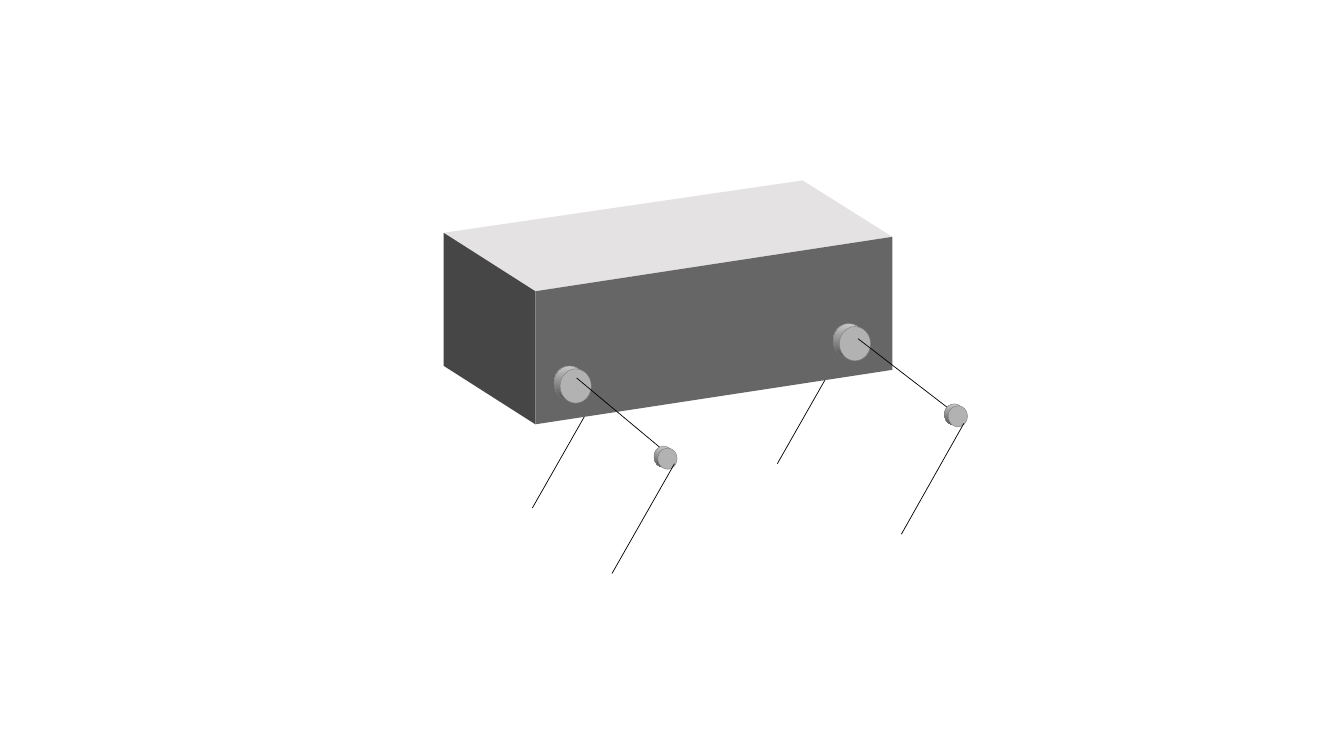
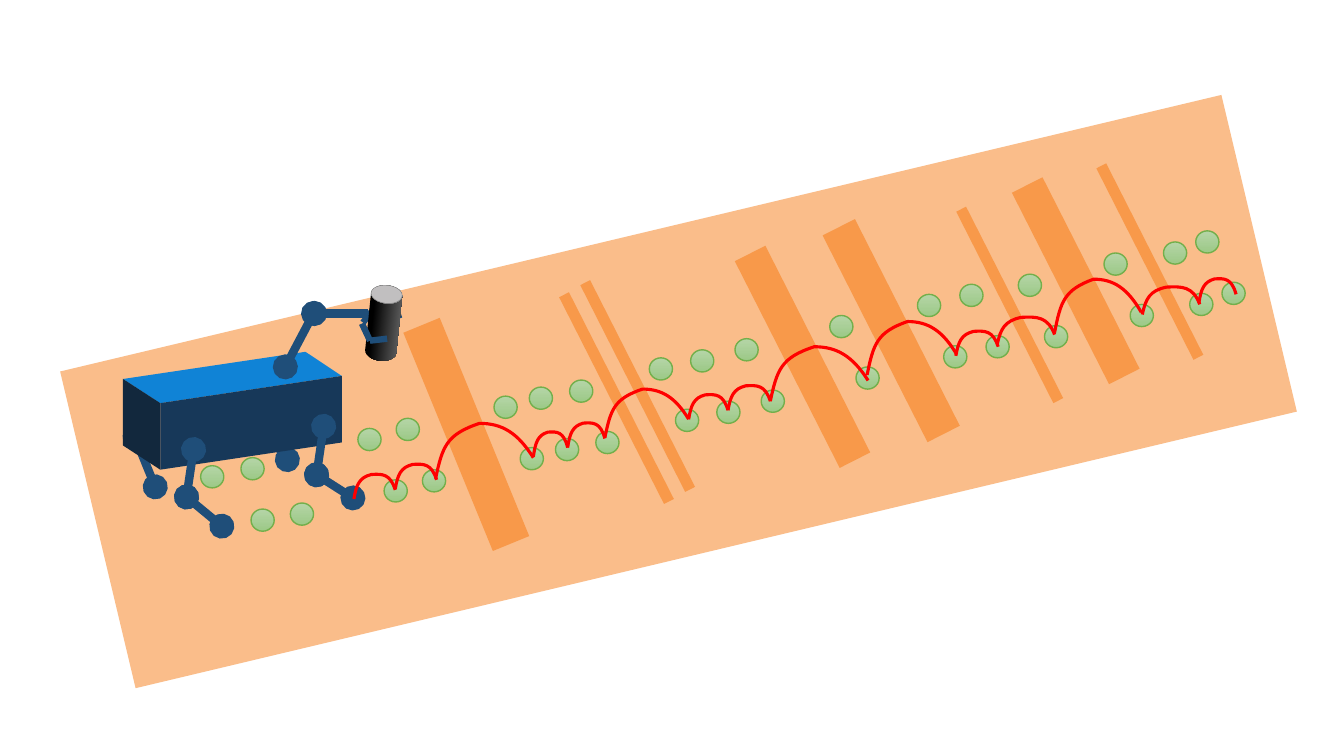
from pptx import Presentation
from pptx.dml.color import RGBColor
from pptx.enum.shapes import MSO_CONNECTOR, MSO_SHAPE
from pptx.oxml.ns import qn
from pptx.util import Inches, Pt
from lxml import etree

RECT, OVAL, CAN = MSO_SHAPE.RECTANGLE, MSO_SHAPE.OVAL, MSO_SHAPE.CAN
STRAIGHT = MSO_CONNECTOR.STRAIGHT

COLORS = {
    "black": "000000", "edge": "7A7A7A", "disc": "B2B2B2",
    "rim light": "C8C8C8", "rim dark": "505050",
    "grey top": "E4E2E3", "grey front": "666666", "grey side": "464646",
    "blue top": "1083D6", "blue front": "173859", "blue side": "12283D",
    "limb": "1F4E79", "ground": "FABD8A", "gap": "F8994A",
    "step light": "B5D5A7", "step dark": "9CC987", "step edge": "73AF4B",
    "hop": "FF0000", "can light": "707070", "lid": "C1BFC0",
}

# Hop outlines as fractions of width and height
SHORT = [(0, 1), (.06, .44), (.13, .15), (.42, .03), (.69, 0), (.88, 0), (1, .64)]
LONG = [(0, 1), (.07, .42), (.11, .2), (.45, 0), (.68, 0), (.84, .17), (1, .62)]


def rgb(name):
    return RGBColor.from_string(COLORS[name])


class Deck:
    def __init__(self):
        self.prs = Presentation()
        self.prs.slide_width = Inches(13.33)
        self.prs.slide_height = Inches(7.5)

    def slide(self):
        self.page = self.prs.slides.add_slide(self.prs.slide_layouts[6])
        self.shapes = self.page.shapes

    def group(self):
        self.shapes = self.page.shapes.add_group_shape().shapes

    def ungroup(self):
        self.shapes = self.page.shapes

    def style(self, shape, fill=None, line=None, width=1):
        """A fill is one colour name, or a pair for a gradient."""
        shape.shadow.inherit = False
        if isinstance(fill, tuple):
            shape.fill.gradient()
            for stop, name in zip(shape.fill.gradient_stops, fill):
                stop.color.rgb = rgb(name)
        elif fill:
            shape.fill.solid()
            shape.fill.fore_color.rgb = rgb(fill)
        else:
            shape.fill.background()
        if line:
            shape.line.color.rgb = rgb(line)
            shape.line.width = Pt(width)
        else:
            shape.line.fill.background()
        return shape

    def shape(self, kind, box, fill, line=None, width=1, turn=0, angle=270):
        item = self.shapes.add_shape(kind, *map(Inches, box))
        item.rotation = turn
        self.style(item, fill, line, width)
        if isinstance(fill, tuple):
            item.fill.gradient_angle = angle
        return item

    def line(self, start, end, color="black", width=0.5, ends=()):
        item = self.shapes.add_connector(STRAIGHT, *map(Inches, start + end))
        item.line.color.rgb = rgb(color)
        item.line.width = Pt(width)
        stroke = item.line._get_or_add_ln()
        for end_tag in ends:
            etree.SubElement(stroke, qn("a:" + end_tag), type="oval")
        etree.SubElement(item._element.spPr, qn("a:effectLst"))

    def outline(self, points, closed=True):
        dots = [(Inches(x), Inches(y)) for x, y in points]
        pen = self.shapes.build_freeform(*dots[0])
        pen.add_line_segments(dots[1:], close=closed)
        return pen.convert_to_shape()

    def block(self, top, height, tone):
        """Top corners run from back left, clockwise."""
        left, _, right, near = top
        self.style(self.outline(top), tone + " top")
        for a, b, side in ((left, near, " side"), (near, right, " front")):
            low = [(x, y + height) for x, y in (b, a)]
            self.style(self.outline([a, b] + low), tone + side)

    def joint(self, x, y, size):
        wide, shift = size * 0.91, size * 0.18
        for dx, dy, fill in ((shift, shift / 2, ("rim light", "rim dark")),
                             (0, 0, "disc")):
            self.shape(OVAL, (x - wide / 2 - dx, y - size / 2 - dy, wide, size),
                       fill, "edge", 0.25)

    def hop(self, x, y, w, h, form):
        item = self.outline([(x + w * u, y + h * v) for u, v in form], False)
        self.style(item, None, "hop", 2.25)
        # Turn each three line segments into one Bezier curve
        parts = list(item._element.iter(qn("a:lnTo")))
        for i in range(0, len(parts), 3):
            curve = etree.Element(qn("a:cubicBezTo"))
            parts[i].addprevious(curve)
            for part in parts[i:i + 3]:
                curve.append(part[0])
                part.getparent().remove(part)


deck = Deck()

# Slide 1: walking robot, far legs first
deck.slide()
for knee, foot in (((8.33, 3.51), (7.71, 4.6)), ((5.9, 3.95), (5.28, 5.04))):
    deck.line(knee, foot)
deck.block([(4.4, 2.31), (7.96, 1.79), (8.85, 2.35), (5.31, 2.89)], 1.32, "grey")

# Near legs: hip disc, thigh ends, knee disc, shin ends
legs = [
    ((5.71, 3.83), (5.72, 3.75), (6.69, 4.56), (6.62, 4.55), (6.69, 4.6), (6.07, 5.69)),
    ((8.48, 3.41), (8.51, 3.36), (9.51, 4.13), (9.5, 4.13), (9.56, 4.2), (8.94, 5.3)),
]
for hip, start, end, knee, shin, foot in legs:
    deck.joint(*hip, 0.34)
    deck.line(start, end)
    deck.joint(*knee, 0.21)
    deck.line(shin, foot)

# Slide 2: robot crossing a floor with gaps
deck.slide()
deck.group()
deck.shape(RECT, (0.81, 2.27, 11.84, 3.23), "ground", turn=346.6)


def limb(start, end, ends=("headEnd", "tailEnd")):
    deck.line(start, end, "limb", 6, ends)


# Far legs, body, near legs
limb((1.34, 4.34), (1.54, 4.83))
limb((2.64, 4.28), (2.85, 4.56))
deck.block([(1.22, 3.76), (3.03, 3.49), (3.39, 3.73), (1.59, 4)], 0.66, "blue")
for hip, knee, foot in (((3.21, 4.23), (3.14, 4.71), (3.5, 4.94)),
                        ((1.92, 4.46), (1.85, 4.93), (2.2, 5.22))):
    limb(hip, knee)
    limb(knee, foot)

# Gaps in the floor
deck.shape(RECT, (4.43, 3.14, 0.39, 2.34), "gap", turn=337.7)
gaps = [(6.06, 2.8, 0.11, 2.3), (7.79, 2.39, 0.34, 2.3), (8.66, 2.13, 0.36, 2.3),
        (10.5, 1.72, 0.34, 2.13), (6.27, 2.68, 0.11, 2.3),
        (11.35, 1.53, 0.11, 2.13), (9.96, 1.96, 0.11, 2.13)]
for gap in gaps:
    deck.shape(RECT, gap, "gap", turn=333.1)

# Footholds: the far row is the near row shifted
near = [(3.81, 4.76), (4.19, 4.66), (5.16, 4.44), (5.91, 4.28), (5.51, 4.35),
        (6.7, 4.06), (7.11, 3.98), (7.55, 3.87), (8.49, 3.64), (9.36, 3.43),
        (9.78, 3.33), (10.36, 3.23), (11.21, 3.02), (11.8, 2.91), (12.12, 2.8)]
far = [(x - 0.26, y - 0.51) for x, y in near]
rear = [(2.49, 5.05), (2.88, 4.99), (1.99, 4.62), (2.39, 4.54)]
for x, y in rear + near + far:
    deck.shape(OVAL, (x, y, 0.23, 0.22), ("step light", "step dark"), "step edge")

# Path of the front foot
hops = [
    (3.51, 4.7, 0.41, 0.25, SHORT), (3.92, 4.6, 0.41, 0.25, SHORT),
    (4.32, 4.2, 0.97, 0.55, LONG), (5.29, 4.28, 0.34, 0.25, SHORT),
    (5.63, 4.19, 0.37, 0.25, SHORT), (6, 3.86, 0.83, 0.48, LONG),
    (6.83, 3.91, 0.39, 0.25, SHORT), (7.22, 3.82, 0.42, 0.25, SHORT),
    (7.64, 3.44, 0.97, 0.54, LONG), (8.6, 3.19, 0.89, 0.53, LONG),
    (9.48, 3.28, 0.42, 0.25, SHORT), (9.89, 3.14, 0.57, 0.28, SHORT),
    (10.46, 2.77, 0.86, 0.53, LONG), (11.33, 2.84, 0.57, 0.28, SHORT),
    (11.89, 2.76, 0.37, 0.25, SHORT),
]
for hop in hops:
    deck.hop(*hop)
deck.ungroup()


def finger(*points):
    for start, end in zip(points, points[1:]):
        deck.line(start, end, "limb", 4.5)


# Arm and gripper around the can
finger((3.6, 3.2), (3.75, 3.01), (3.91, 3.01), (3.96, 3.16))
can = deck.shape(CAN, (3.65, 2.83, 0.31, 0.75), ("black", "can light"),
                 turn=5.9, angle=0)
can.adjustments[0] = 0.58
can.fill.gradient_stops[0].position = 0.25
deck.shape(OVAL, (3.68, 2.83, 0.31, 0.18), "lid", "edge", 0.25, turn=5.9)
limb((3.11, 3.11), (2.83, 3.64))
limb((3.65, 3.11), (3.12, 3.11), ("tailEnd",))
finger((3.59, 3.21), (3.67, 3.38), (3.84, 3.36))

deck.prs.save("out.pptx")
